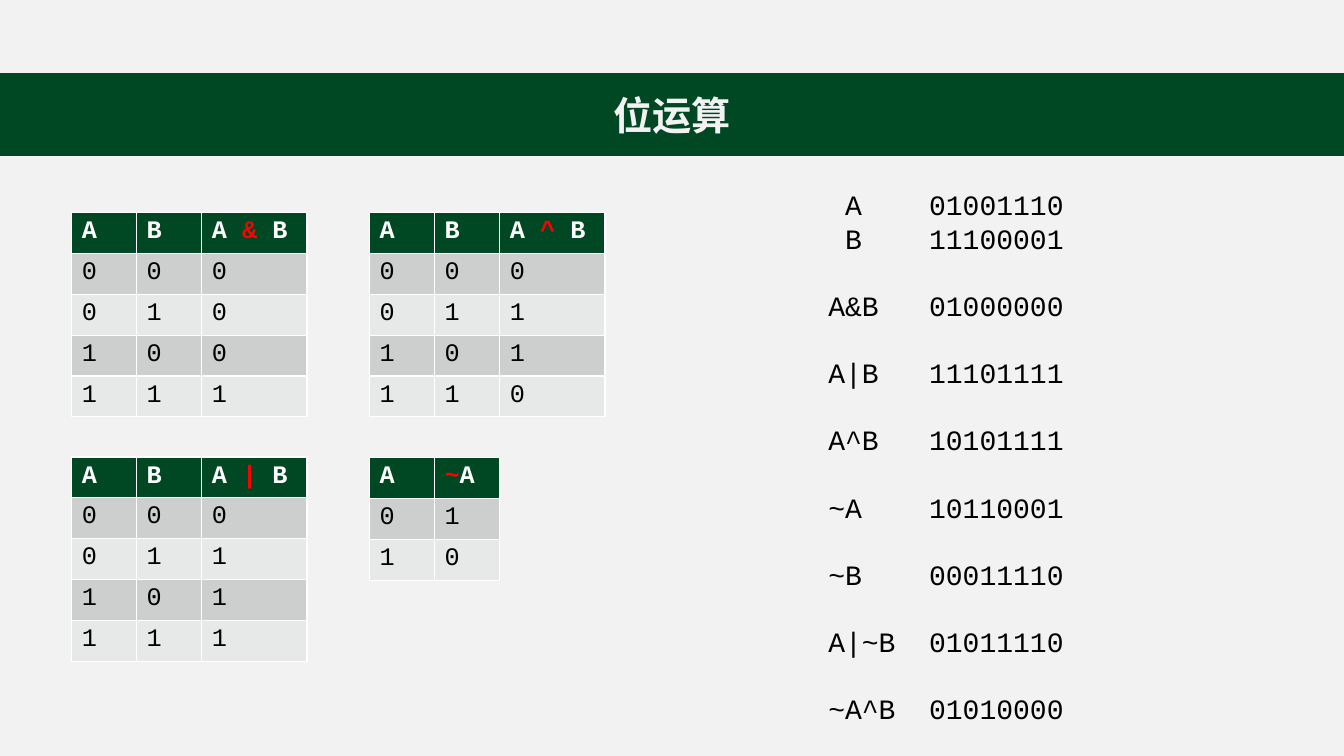
from lxml import etree
from pptx import Presentation
from pptx.dml.color import RGBColor as RGB
from pptx.enum.shapes import MSO_SHAPE as Shape
from pptx.enum.text import MSO_ANCHOR as Anchor, PP_ALIGN as Align
from pptx.oxml.ns import qn
from pptx.util import Pt

COLORS = {
    "background": "F2F2F2", "green": "004723", "white": "FFFFFF",
    "operator": "FF0000", "text": "000000",
    "odd_row": "CCCFCD", "even_row": "E7E9E8",
}
FONT = "Courier New"


def color(name):
    return RGB.from_string(COLORS[name])


def style(font, size, color_name, bold=False):
    font.name = FONT
    font.size = Pt(size)
    font.bold = bold
    font.color.rgb = color(color_name)


presentation = Presentation()
presentation.slide_width = Pt(960)
presentation.slide_height = Pt(540)
slide = presentation.slides.add_slide(presentation.slide_layouts[6])
slide.background.fill.solid()
slide.background.fill.fore_color.rgb = color("background")

# Title band
band = slide.shapes.add_shape(Shape.RECTANGLE, 0, Pt(53), Pt(960), Pt(58))
band.shadow.inherit = False
band.fill.solid()
band.fill.fore_color.rgb = color("green")
band.line.color.rgb = color("green")
band.line.width = Pt(1)
band.text_frame.text = "位运算"
band.text_frame.vertical_anchor = Anchor.MIDDLE
title = band.text_frame.paragraphs[0]
title.alignment = Align.CENTER
style(title.runs[0].font, 28, "background", bold=True)

# Truth tables: left, top, result heading split into runs, rows
PAIRS = [(a, b) for a in (0, 1) for b in (0, 1)]
truth_tables = [
    (51.2, 151.8, ["A ", "&", " B"], [(a, b, a & b) for a, b in PAIRS]),
    (51.2, 326.4, ["A ", "|", " B"], [(a, b, a | b) for a, b in PAIRS]),
    (264, 151.8, ["A ", "^", " B"], [(a, b, a ^ b) for a, b in PAIRS]),
    (264, 327, ["~", "A"], [(a, 1 - a) for a in (0, 1)]),
]
COLUMN_WIDTHS = [46.4, 46.6, 75.2]
ROW_HEIGHT = 29.2

for left, top, result_heading, rows in truth_tables:
    column_count = len(rows[0])
    widths = COLUMN_WIDTHS[:column_count]
    table = slide.shapes.add_table(
        len(rows) + 1, column_count, Pt(left), Pt(top),
        Pt(sum(widths)), Pt(ROW_HEIGHT * (len(rows) + 1))).table
    for column, width in zip(table.columns, widths):
        column.width = Pt(width)

    headings = [["A"], ["B"]][:column_count - 1] + [result_heading]
    body = [[[str(bit)] for bit in row] for row in rows]
    for row_index, row in enumerate([headings] + body):
        is_header = row_index == 0
        fill = "green" if is_header else "odd_row" if row_index % 2 else "even_row"
        for column_index, pieces in enumerate(row):
            cell = table.cell(row_index, column_index)
            cell.fill.solid()
            cell.fill.fore_color.rgb = color(fill)
            for piece in pieces:
                run = cell.text_frame.paragraphs[0].add_run()
                run.text = piece
                text_color = "white" if is_header else "text"
                if piece in ("&", "|", "^", "~"):
                    text_color = "operator"
                style(run.font, 18, text_color, bold=is_header)

# Worked examples, aligned by tab stops
examples = [
    ("\tA", "01001110"), ("\tB", "11100001"), ("A&B", "01000000"),
    ("A|B", "11101111"), ("A^B", "10101111"), ("~A", "10110001"),
    ("~B", "00011110"), ("A|~B", "01011110"), ("~A^B", "01010000"),
]
box = slide.shapes.add_textbox(Pt(584.6), Pt(130.5), Pt(236), Pt(395))
box.text_frame.word_wrap = True
for index, (expression, bits) in enumerate(examples):
    frame = box.text_frame
    paragraph = frame.paragraphs[0] if index == 0 else frame.add_paragraph()
    paragraph.text = f"{expression}\t{bits}"
    paragraph.line_spacing = Pt(24)
    if index > 1:
        paragraph.space_before = Pt(24)
    tab_list = etree.SubElement(paragraph._p.get_or_add_pPr(), qn("a:tabLst"))
    for position in (12, 72):
        etree.SubElement(tab_list, qn("a:tab"), pos=str(Pt(position)), algn="l")
    style(paragraph.runs[0].font, 20, "text")

presentation.save("out.pptx")
